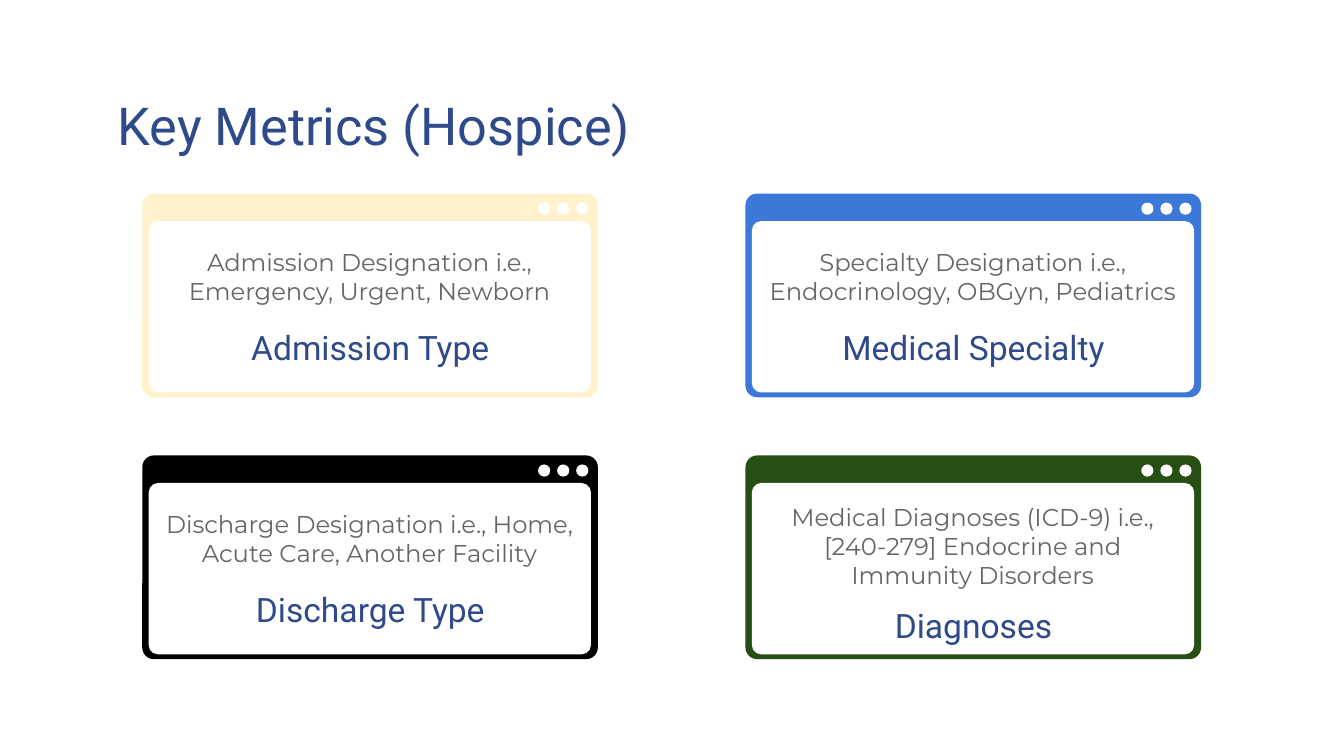
from dataclasses import dataclass

from pptx import Presentation
from pptx.dml.color import RGBColor
from pptx.enum.shapes import MSO_SHAPE
from pptx.enum.text import MSO_ANCHOR, PP_ALIGN
from pptx.util import Cm, Pt


@dataclass(frozen=True)
class Theme:
    navy: str = "2F4A8A"
    gray: str = "666666"
    white: str = "FFFFFF"
    cream: str = "FFF2CC"
    blue: str = "3C78D8"
    black: str = "000000"
    green: str = "274E13"
    head: str = "Roboto"
    body: str = "Montserrat"
    big: int = 28
    mid: int = 18
    small: int = 13


THEME = Theme()

# Card grid, in cm
LEFT, TOP = 2.69, 3.66
STEP_X, STEP_Y = 11.4, 4.95

# Column, row, frame color, label, note, note offset, label offset
CARDS = [
    (0, 0, THEME.cream, "Admission Type",
     "Admission Designation i.e., Emergency, Urgent, Newborn", 0.76, 2.27),
    (0, 1, THEME.black, "Discharge Type",
     "Discharge Designation i.e., Home, Acute Care, Another Facility",
     0.76, 2.27),
    (1, 0, THEME.blue, "Medical Specialty",
     "Specialty Designation i.e., Endocrinology, OBGyn, Pediatrics",
     0.76, 2.27),
    (1, 1, THEME.green, "Diagnoses",
     "Medical Diagnoses (ICD-9) i.e., [240-279] Endocrine and "
     "Immunity Disorders", 0.63, 2.57),
]


def apply(item, form):
    for name, value in form.items():
        setattr(item, name, value)


def add_form(group, kind, box, color, radius=None):
    shape = group.shapes.add_shape(kind, *map(Cm, box))
    shape.shadow.inherit = False
    shape.fill.solid()
    shape.fill.fore_color.rgb = RGBColor.from_string(color)
    shape.line.fill.background()
    if radius is not None:
        shape.adjustments[0] = radius / min(box[2:])


def add_text(slide, box, text, font, size, color,
             align=PP_ALIGN.CENTER, after=0):
    frame = slide.shapes.add_textbox(*map(Cm, box)).text_frame
    inset = Cm(0.25)
    apply(frame, {
        "word_wrap": True,
        "vertical_anchor": MSO_ANCHOR.TOP,
        "margin_left": inset,
        "margin_right": inset,
        "margin_top": inset,
        "margin_bottom": inset,
    })
    para = frame.paragraphs[0]
    apply(para, {"alignment": align, "space_after": Pt(after)})
    run = para.add_run()
    run.text = text
    apply(run.font, {"name": font, "size": Pt(size)})
    run.font.color.rgb = RGBColor.from_string(color)


def add_window(slide, x, y, color):
    group = slide.shapes.add_group_shape()
    # Frame and pane
    round_box = MSO_SHAPE.ROUNDED_RECTANGLE
    add_form(group, round_box, (x, y, 8.61, 3.85), color, 0.22)
    add_form(group, round_box, (x + 0.12, y + 0.52, 8.36, 3.24),
             THEME.white, 0.18)
    # Window buttons
    for i in range(3):
        dot = (x + 7.48 + 0.36 * i, y + 0.17, 0.23, 0.23)
        add_form(group, MSO_SHAPE.OVAL, dot, THEME.white)


def add_card(slide, col, row, color, label, note, note_y, label_y):
    x, y = LEFT + STEP_X * col, TOP + STEP_Y * row
    add_window(slide, x, y, color)
    add_text(slide, (x + 1.15, y + label_y, 6.32, 1.3), label,
             THEME.head, THEME.mid, THEME.navy)
    add_text(slide, (x + 0.15, y + note_y, 8.28, 2), note,
             THEME.body, THEME.small, THEME.gray, after=12)


def main():
    deck = Presentation()
    apply(deck, {"slide_width": Cm(25.4), "slide_height": Cm(14.29)})
    slide = deck.slides.add_slide(deck.slide_layouts[6])

    # Heading
    add_text(slide, (1.98, 1.52, 21.44, 1.3), "Key Metrics (Hospice)",
             THEME.head, THEME.big, THEME.navy, PP_ALIGN.LEFT)

    # Cards
    for card in CARDS:
        add_card(slide, *card)

    deck.save("out.pptx")


if __name__ == "__main__":
    main()
